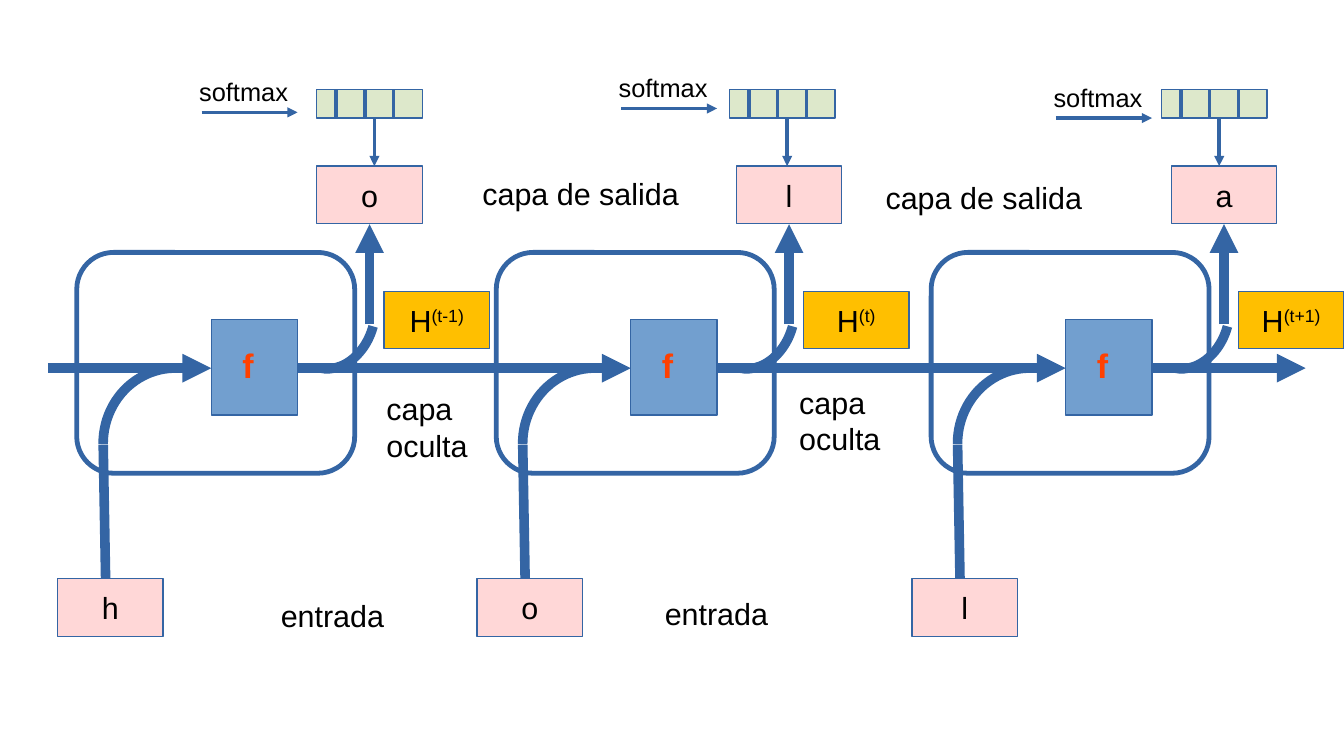
from lxml import etree
from pptx import Presentation
from pptx.dml.color import RGBColor
from pptx.enum.shapes import MSO_CONNECTOR, MSO_SHAPE
from pptx.enum.text import MSO_ANCHOR, PP_ALIGN
from pptx.oxml.ns import qn
from pptx.util import Cm, Pt

BLUE = RGBColor(0x34, 0x65, 0xA4)
LIGHT_BLUE = RGBColor(0x72, 0x9F, 0xCF)
AMBER = RGBColor(0xFF, 0xBF, 0x00)
PINK = RGBColor(0xFF, 0xD7, 0xD7)
GREEN = RGBColor(0xDD, 0xE8, 0xCB)
RED = RGBColor(0xFF, 0x40, 0x00)
WHITE = RGBColor(0xFF, 0xFF, 0xFF)
BLACK = RGBColor(0, 0, 0)

HAIRLINE, FRAME_LINE, FLOW_LINE = 0, 2.83, 5.67
FLOW_Y = 7.67
OUTPUT_Y, INPUT_Y = 3.46, 12.06
BOX_W, BOX_H = 2.2, 1.2
ENTRY = -0.6  # where the flow enters, measured from the cell frame
FLOW_END = 27.2

# frame left, input letter, output letter, time step
CELLS = [(1.6, "h", "o", "(t-1)"), (10.34, "o", "l", "(t)"), (19.4, "l", "a", "(t+1)")]
# vector left, softmax arrow end, softmax arrow height
SOFTMAXES = [(6.6, 6.2, 2.34), (15.2, 14.94, 2.26), (24.2, 24.0, 2.46)]
# text, left, top, width, height
LAYER_LABELS = [
    ("capa de salida", 18.2, 3.6, 5.0, 1.0),
    ("capa oculta", 16.4, 7.87, 3.0, 1.68),
    ("entrada", 13.6, 12.27, 3.0, 1.0),
    ("capa de salida", 9.8, 3.52, 5.0, 1.0),
    ("capa oculta", 7.8, 8.0, 3.0, 1.68),
    ("entrada", 5.6, 12.32, 3.0, 1.0),
]


def add_outlined(shapes, kind, left, top, width, height, fill=None, line=HAIRLINE):
    shape = shapes.add_shape(kind, Cm(left), Cm(top), Cm(width), Cm(height))
    shape.shadow.inherit = False
    if fill is None:
        shape.fill.background()
    else:
        shape.fill.solid()
        shape.fill.fore_color.rgb = fill
    shape.line.color.rgb = BLUE
    shape.line.width = Pt(line)
    return shape


def style_run(run, size=18, color=BLACK, bold=False):
    run.font.name = "Arial"
    run.font.size = Pt(size)
    run.font.color.rgb = color
    run.font.bold = bold


def add_box(shapes, text, left, top, fill, superscript=""):
    box = add_outlined(shapes, MSO_SHAPE.RECTANGLE, left, top, BOX_W, BOX_H, fill)
    frame = box.text_frame
    frame.word_wrap = False
    frame.vertical_anchor = MSO_ANCHOR.MIDDLE
    frame.text = text
    paragraph = frame.paragraphs[0]
    paragraph.alignment = PP_ALIGN.CENTER
    if superscript:
        raised = paragraph.add_run()
        raised.text = superscript
        raised.font._element.set("baseline", "33000")
    for run in paragraph.runs:
        style_run(run)


def add_label(shapes, text, left, top, width, height, **style):
    label = shapes.add_textbox(Cm(left), Cm(top), Cm(width), Cm(height))
    label.text_frame.word_wrap = True
    label.text_frame.text = text
    style_run(label.text_frame.paragraphs[0].runs[0], **style)


def add_line(shapes, x1, y1, x2, y2, weight=HAIRLINE, arrow=False):
    line = shapes.add_connector(MSO_CONNECTOR.STRAIGHT, Cm(x1), Cm(y1), Cm(x2), Cm(y2))
    line.line.color.rgb = BLUE
    line.line.width = Pt(weight)
    if arrow:
        etree.SubElement(line.line._get_or_add_ln(), qn("a:tailEnd"), type="triangle")
    etree.SubElement(line._element.spPr, qn("a:effectLst"))


def add_bend(shapes, left, top, width, height, start, end, rotation=0):
    """Draw a thick arc between two angles given in degrees."""
    bend = add_outlined(shapes, MSO_SHAPE.ARC, left, top, width, height, line=FLOW_LINE)
    # One adjustment unit is 100000 sixty-thousandths of a degree.
    bend.adjustments[0] = start * 0.6
    bend.adjustments[1] = end * 0.6
    bend.rotation = rotation


def add_cell(shapes, x, letter_in, letter_out, step, flow_end, is_last):
    """Draw one recurrent unit whose frame starts at x."""
    add_outlined(shapes, MSO_SHAPE.ROUNDED_RECTANGLE, x, 5.26, 5.79, 4.6, WHITE, FRAME_LINE)
    add_bend(shapes, x + 4.47, 5.46, 1.73, 2.24, 179.04, 268.5, 195.6)
    add_line(shapes, x + 6.1, 6.75, x + 6.1, 4.67, FLOW_LINE, arrow=True)
    add_line(shapes, x + 4.6, FLOW_Y, flow_end, FLOW_Y, FLOW_LINE, arrow=is_last)
    add_bend(shapes, x + 0.55, FLOW_Y, 3.0, 3.14, 179.21, 268.18)
    add_line(shapes, x + ENTRY, FLOW_Y, x + 2.8, FLOW_Y, FLOW_LINE, arrow=True)
    add_line(shapes, x + 0.55, 9.27, x + 0.6, INPUT_Y, FLOW_LINE)
    add_outlined(shapes, MSO_SHAPE.RECTANGLE, x + 2.8, 6.65, 1.8, 2.0, LIGHT_BLUE)
    add_label(shapes, "f", x + 3.2, 7.06, 1.2, 1.04, size=20, color=RED, bold=True)
    add_box(shapes, "H", x + 6.4, 6.07, AMBER, superscript=step)
    add_box(shapes, letter_in, x - 0.4, INPUT_Y, PINK)
    add_box(shapes, letter_out, x + 5.0, OUTPUT_Y, PINK)


def add_softmax(shapes, vector_x, arrow_end, arrow_y):
    """Draw a four-part vector, its arrow to the output and its softmax arrow."""
    top, height = 1.86, 0.6
    bottom = top + height
    add_outlined(shapes, MSO_SHAPE.RECTANGLE, vector_x, top, BOX_W, height, GREEN)
    for i in range(3):
        divider = vector_x + 0.4 + 0.6 * i
        add_line(shapes, divider, top, divider, bottom)
    add_line(shapes, vector_x + 1.2, bottom, vector_x + 1.2, OUTPUT_Y, arrow=True)
    add_label(shapes, "softmax", arrow_end - 2.3, arrow_y - 0.88, 2.72, 0.85, size=15)
    add_line(shapes, arrow_end - 2, arrow_y, arrow_end, arrow_y, arrow=True)


def main():
    deck = Presentation()
    deck.slide_width, deck.slide_height = Cm(28), Cm(15.75)
    shapes = deck.slides.add_slide(deck.slide_layouts[6]).shapes

    flow_ends = [cell[0] + ENTRY for cell in CELLS[1:]] + [FLOW_END]
    for cell, flow_end in zip(CELLS, flow_ends):
        add_cell(shapes, *cell, flow_end, is_last=flow_end == FLOW_END)
    for layer_label in LAYER_LABELS:
        add_label(shapes, *layer_label)
    for softmax in SOFTMAXES:
        add_softmax(shapes, *softmax)

    deck.save("out.pptx")


if __name__ == "__main__":
    main()
